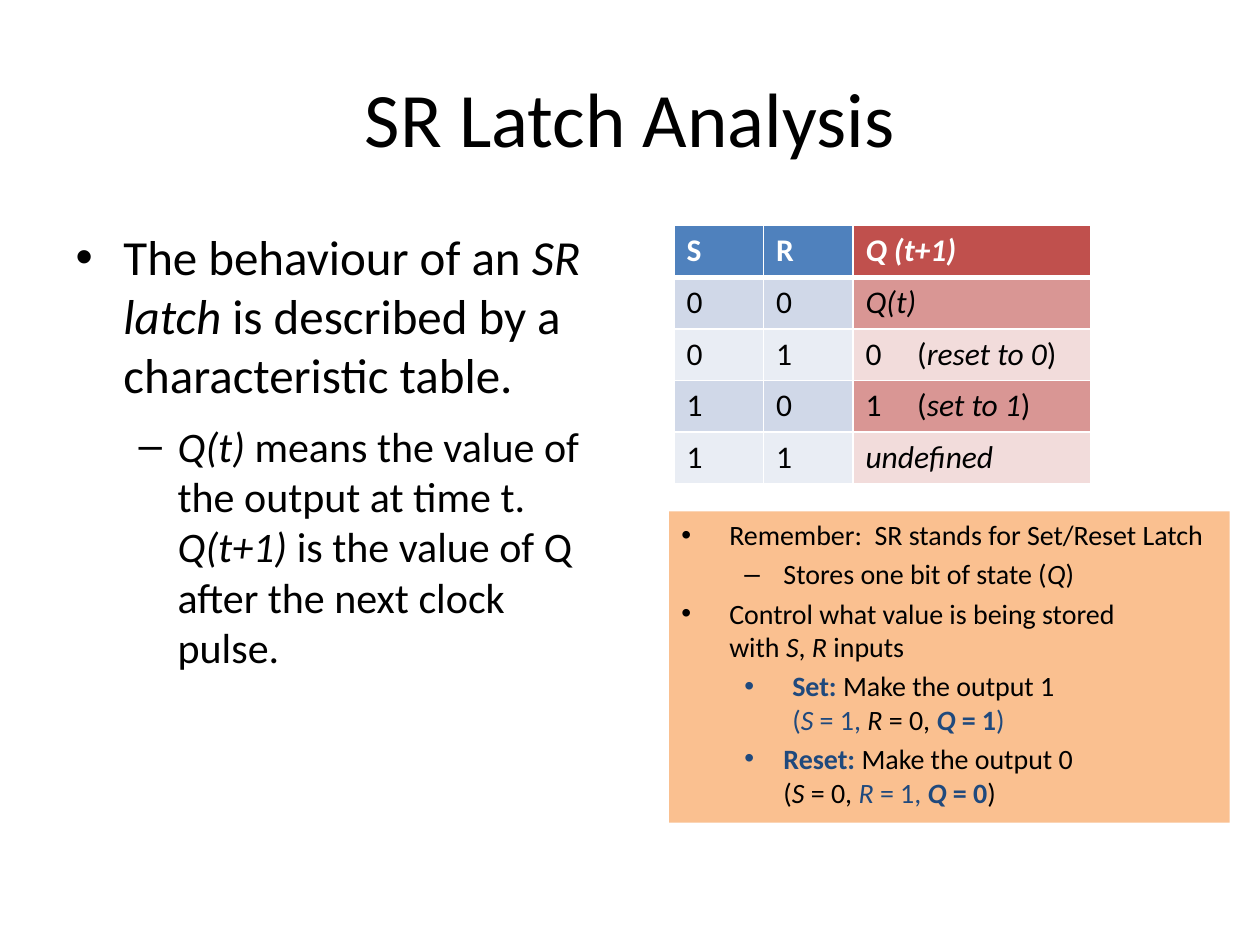
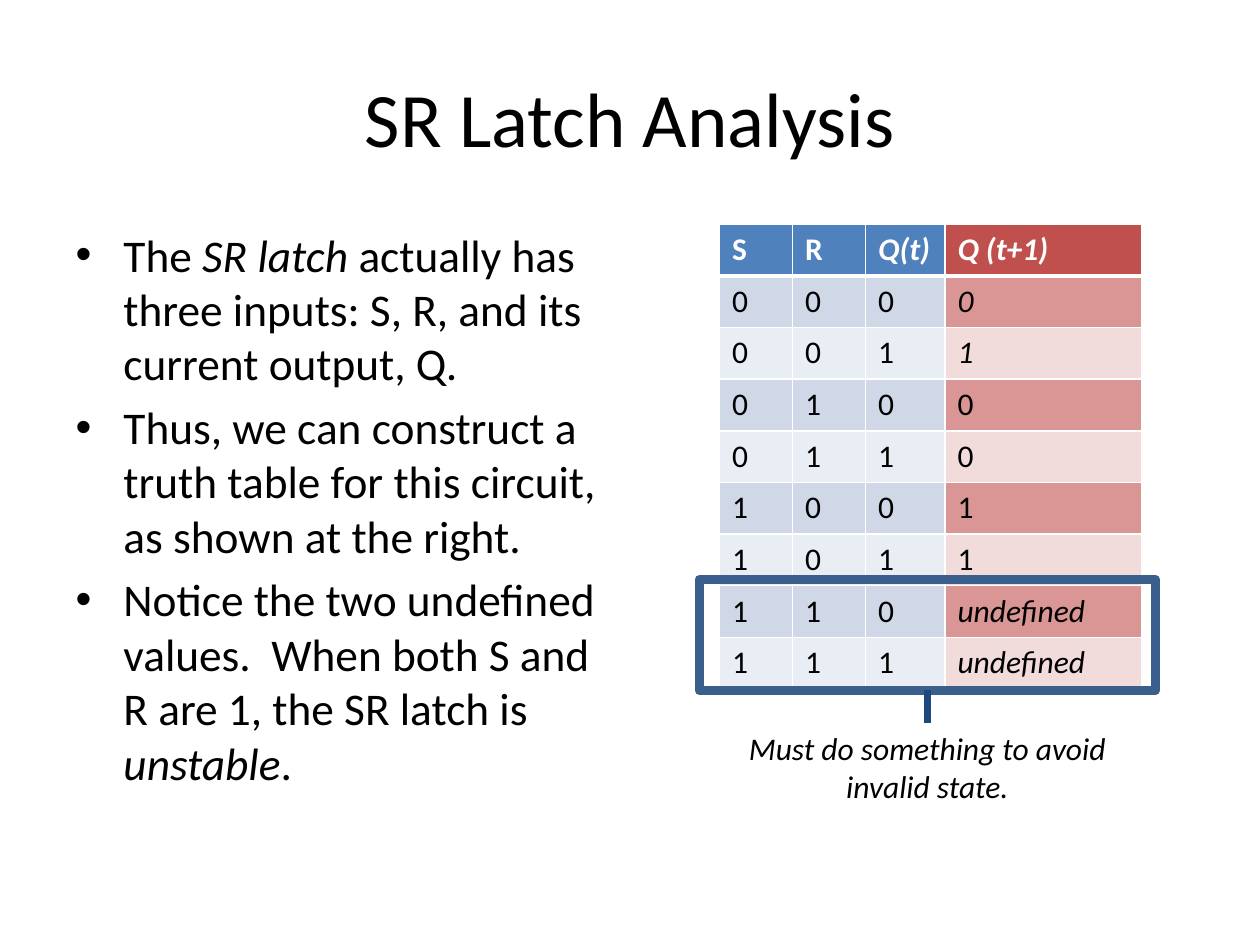
from collections import namedtuple
from dataclasses import dataclass

from lxml.etree import SubElement
from pptx import Presentation
from pptx.dml.color import RGBColor
from pptx.enum.shapes import MSO_CONNECTOR, MSO_SHAPE
from pptx.enum.text import MSO_ANCHOR, MSO_AUTO_SIZE, PP_ALIGN
from pptx.oxml.ns import qn
from pptx.util import Inches, Pt


@dataclass(frozen=True)
class Theme:
    font: str = "Calibri"
    text: str = "000000"
    white: str = "FFFFFF"
    accent: str = "1F497D"
    outline: str = "3A5F8C"
    note: str = "FAC090"
    input_header: str = "4F81BD"
    output_header: str = "C0504D"
    input_bands: tuple = ("D0D8E8", "E9EDF4")
    output_bands: tuple = ("D99694", "F2DCDB")
    title_size: float = 44
    table_size: float = 18
    note_size: float = 16


THEME = Theme()
Box = namedtuple("Box", "left top width height")
Item = namedtuple("Item", "text level bullet indent hanging size")

TITLE_BOX = Box(0.5, 0.3, 9, 1.25)
BODY_BOX = Box(0.5, 1.75, 4.42, 4.95)
ROW_HEIGHT = 0.41


def point(text, size):
    return Item(text, 0, "•", 0.38, 0.38, size)


def subpoint(text, size, bullet="–", indent=0.81, hanging=0.31):
    return Item(text, 1, bullet, indent, hanging, size)


def color(value):
    return RGBColor.from_string(value)


def inches(box):
    return [Inches(length) for length in box]


def write(paragraph, text, size=18, ink=THEME.text, bold=False, align=None):
    """Write text in which * toggles italic, ^ bold and ~ the accent colour."""
    if align is not None:
        paragraph.alignment = align
    state = {"*": False, "^": bold, "~": False}

    def add_piece(piece):
        if not piece:
            return
        run = paragraph.add_run()
        run.text = piece
        run.font.name = THEME.font
        run.font.size = Pt(size)
        run.font.italic = state["*"]
        run.font.bold = state["^"]
        run.font.color.rgb = color(THEME.accent if state["~"] else ink)

    piece = ""
    for character in text:
        if character not in state and character != "\n":
            piece += character
            continue
        add_piece(piece)
        piece = ""
        if character == "\n":
            paragraph.add_line_break()
        else:
            state[character] = not state[character]
    add_piece(piece)


def write_list(frame, items, spacing):
    """Fill a text frame; spacing is the share of the type size before a paragraph."""
    frame.word_wrap = True
    frame.auto_size = MSO_AUTO_SIZE.NONE
    frame.vertical_anchor = MSO_ANCHOR.TOP
    for index, item in enumerate(items):
        paragraph = frame.add_paragraph() if index else frame.paragraphs[0]
        paragraph.level = item.level
        paragraph.alignment = PP_ALIGN.LEFT
        paragraph.space_before = Pt(round(item.size * spacing, 1) if index else 0)
        properties = paragraph._p.get_or_add_pPr()
        properties.set("marL", str(Inches(item.indent)))
        properties.set("indent", str(-Inches(item.hanging)))
        SubElement(properties, qn("a:buFont"), typeface="Arial")
        SubElement(properties, qn("a:buChar"), char=item.bullet)
        write(paragraph, item.text, size=item.size)


def place(shape, box):
    shape.left, shape.top, shape.width, shape.height = inches(box)


def add_titled_slide(presentation, title, items, spacing):
    slide = presentation.slides.add_slide(presentation.slide_layouts[1])
    heading, body = slide.placeholders[0], slide.placeholders[1]
    place(heading, TITLE_BOX)
    heading.text_frame.vertical_anchor = MSO_ANCHOR.MIDDLE
    write(heading.text_frame.paragraphs[0], title,
          size=THEME.title_size, align=PP_ALIGN.CENTER)
    place(body, BODY_BOX)
    write_list(body.text_frame, items, spacing)
    return slide


def set_borders(cell, row):
    properties = cell._tc.get_or_add_tcPr()
    widths = {"L": 1, "R": 1, "T": 3 if row == 1 else 1, "B": 1 if row else 3}
    for side, width in widths.items():
        line = SubElement(properties, qn("a:ln" + side), w=str(Pt(width)))
        fill = SubElement(line, qn("a:solidFill"))
        SubElement(fill, qn("a:srgbClr"), val=THEME.white)


def cell_fill(row, is_output):
    if row == 0:
        return THEME.output_header if is_output else THEME.input_header
    bands = THEME.output_bands if is_output else THEME.input_bands
    return bands[(row - 1) % 2]


def add_state_table(slide, left, top, column_widths, rows):
    """Add a table whose last column holds the output."""
    box = Box(left, top, sum(column_widths), ROW_HEIGHT * len(rows))
    table = slide.shapes.add_table(len(rows), len(column_widths), *inches(box)).table
    table.horz_banding = False
    for column, width in zip(table.columns, column_widths):
        column.width = Inches(width)
    for row, texts in enumerate(rows):
        for column, text in enumerate(texts):
            cell = table.cell(row, column)
            set_borders(cell, row)
            cell.fill.solid()
            cell.fill.fore_color.rgb = color(cell_fill(row, column == len(texts) - 1))
            paragraph = cell.text_frame.paragraphs[0]
            if "\t" in text:
                tabs = SubElement(paragraph._p.get_or_add_pPr(), qn("a:tabLst"))
                SubElement(tabs, qn("a:tab"), pos=str(Inches(0.41)), algn="l")
            write(paragraph, text, size=THEME.table_size, bold=row == 0,
                  ink=THEME.text if row else THEME.white)


def add_note(slide, box, items):
    note = slide.shapes.add_shape(MSO_SHAPE.RECTANGLE, *inches(box))
    note.shadow.inherit = False
    note.fill.solid()
    note.fill.fore_color.rgb = color(THEME.note)
    note.line.fill.background()
    write_list(note.text_frame, items, spacing=0.2)


def add_callout(slide, box, frame_height, gap, text):
    """Frame the top of the box and join it to a caption below."""
    frame = slide.shapes.add_shape(
        MSO_SHAPE.RECTANGLE, *inches(box._replace(height=frame_height)))
    frame.shadow.inherit = False
    frame.fill.background()
    frame.line.color.rgb = color(THEME.outline)
    frame.line.width = Pt(5.25)

    offset = frame_height + gap
    caption = slide.shapes.add_textbox(
        *inches(box._replace(top=box.top + offset, height=box.height - offset)))
    caption.text_frame.word_wrap = True
    write(caption.text_frame.paragraphs[0], text, align=PP_ALIGN.CENTER)

    connector = slide.shapes.add_connector(MSO_CONNECTOR.STRAIGHT, 0, 0, 0, 0)
    connector.begin_connect(frame, 2)
    connector.end_connect(caption, 0)
    connector.line.color.rgb = color(THEME.accent)
    connector.line.width = Pt(4)
    SubElement(connector._element.spPr, qn("a:effectLst"))


def build_characteristic_slide(presentation):
    slide = add_titled_slide(presentation, "SR Latch Analysis", [
        point("The behaviour of an *SR latch *is described by a characteristic table.", 28),
        subpoint("*Q(t) *means the value of the output at time t.  "
                 "*Q(t+1) *is the value of Q after the next clock pulse.", 24),
    ], spacing=0.4)
    add_state_table(slide, 5.35, 1.79, (0.71, 0.71, 1.89), [
        ("S", "R", "*Q (t+1)*"),
        ("0", "0", "*Q(t)*"),
        ("0", "1", "0\t(*reset to 0*)"),
        ("1", "0", "1\t(*set to 1*)"),
        ("1", "1", "*undefined*"),
    ])
    size = THEME.note_size
    add_note(slide, Box(5.31, 4.06, 4.45, 2.47), [
        point("Remember:  SR stands for Set/Reset Latch", size),
        subpoint("Stores one bit of state (*Q*)", size),
        point("Control what value is being stored\nwith *S*, *R *inputs", size),
        subpoint("~^Set: ^~Make the output 1\n~(*S *= 1, ~*R *= 0, ~^*Q* = 1^)~",
                 size, bullet="•", indent=0.88, hanging=0.38),
        subpoint("~^Reset: ^~Make the output 0\n(*S *= 0, ~*R *= 1, ^*Q* = 0^~)",
                 size, bullet="•"),
    ])


def build_truth_table_slide(presentation):
    texts = (
        "The *SR latch *actually has three inputs: S, R, and its current output, Q*.*",
        "Thus, we can construct a truth table for this circuit, as shown at the right.",
        "Notice the two undefined values.  When both S and R are 1, "
        "the SR latch is *unstable*.",
    )
    slide = add_titled_slide(presentation, "SR Latch Analysis",
                             [point(text, 25.9) for text in texts], spacing=0.2)
    outputs = ("*0*", "*1*", "0", "0", "1", "1", "*undefined*", "*undefined*")
    rows = [(*format(state, "03b"), output) for state, output in enumerate(outputs)]
    add_state_table(slide, 5.71, 1.78, (0.58, 0.58, 0.63, 1.56),
                    [("S", "R", "*Q(t)*", "*Q (t+1)*"), *rows])
    add_callout(slide, Box(5.55, 4.6, 3.62, 1.85), frame_height=0.88, gap=0.26,
                text="*Must do something to avoid invalid state.*")


def main():
    presentation = Presentation()
    presentation.slide_width, presentation.slide_height = Inches(10), Inches(7.5)
    build_characteristic_slide(presentation)
    build_truth_table_slide(presentation)
    presentation.save("out.pptx")


if __name__ == "__main__":
    main()
